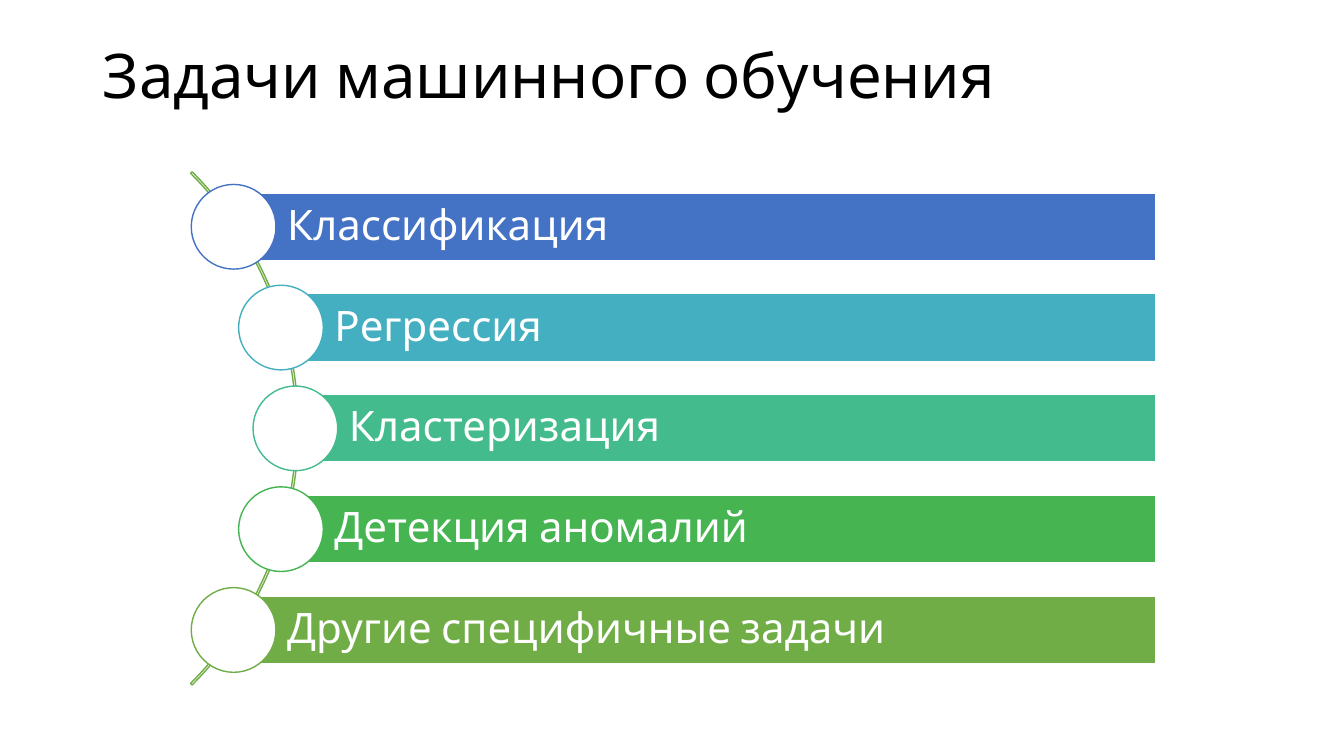
from dataclasses import dataclass
from math import sqrt

from pptx import Presentation
from pptx.dml.color import RGBColor
from pptx.enum.shapes import MSO_SHAPE
from pptx.enum.text import MSO_ANCHOR, MSO_AUTO_SIZE, PP_ALIGN
from pptx.util import Inches, Pt

ARC, BAR, CIRCLE = MSO_SHAPE.BLOCK_ARC, MSO_SHAPE.RECTANGLE, MSO_SHAPE.OVAL
TOP, MIDDLE, LEFT = MSO_ANCHOR.TOP, MSO_ANCHOR.MIDDLE, PP_ALIGN.LEFT
NO_FIT = MSO_AUTO_SIZE.NONE


@dataclass(frozen=True)
class Theme:
    font: str = "Cabin"
    title_size: int = 44
    task_size: int = 30
    line_width: int = 1
    black: str = "000000"
    white: str = "FFFFFF"
    arc: str = "70AD47"


THEME = Theme()
TASKS = [
    ("Классификация", "4472C4"),
    ("Регрессия", "43AFC0"),
    ("Кластеризация", "43BB8D"),
    ("Детекция аномалий", "45B451"),
    ("Другие специфичные задачи", "70AD47"),
]


def add_outlined(kind, left, top, width, height, fill, line):
    shape = slide.shapes.add_shape(
        kind, Inches(left), Inches(top), Inches(width), Inches(height))
    shape.shadow.inherit = False
    if fill:
        shape.fill.solid()
        shape.fill.fore_color.rgb = RGBColor.from_string(fill)
    else:
        shape.fill.background()
    shape.line.color.rgb = RGBColor.from_string(line)
    shape.line.width = Pt(THEME.line_width)
    return shape


def write_text(shape, text, size, color, frame_format):
    frame = shape.text_frame
    for name, value in frame_format.items():
        setattr(frame, name, value)
    paragraph = frame.paragraphs[0]
    paragraph.text = text
    paragraph.alignment = LEFT
    paragraph.line_spacing = 0.9
    font = paragraph.runs[0].font
    font.name = THEME.font
    font.size = Pt(size)
    font.color.rgb = RGBColor.from_string(color)


presentation = Presentation()
presentation.slide_width = Inches(13.33)
presentation.slide_height = Inches(7.5)
slide = presentation.slides.add_slide(presentation.slide_layouts[5])

# Title
title = slide.shapes.title
title.left, title.top = Inches(0.92), Inches(0.4)
title.width, title.height = Inches(11.5), Inches(1.45)
write_text(title, "Задачи машинного обучения", THEME.title_size, THEME.black,
           {"vertical_anchor": TOP, "word_wrap": True, "auto_size": NO_FIT})

# Arc behind the list
center_x, center_y, arc_size = -0.64, 4.25, 7.2
arc = add_outlined(ARC, center_x - arc_size / 2, center_y - arc_size / 2,
                   arc_size, arc_size, None, THEME.arc)
for index, value in enumerate((189, 27, 0.003)):
    arc.adjustments[index] = value

# Task bars, each starting at a circle centred on the arc
track_radius, row_step = 3.57, 1.0
bar_right, bar_height, circle_size = 11.46, 0.67, 0.84
bar_text_format = {
    "vertical_anchor": MIDDLE, "word_wrap": True, "auto_size": NO_FIT,
    "margin_left": Inches(0.53), "margin_right": Inches(0.08),
    "margin_top": Inches(0.08), "margin_bottom": Inches(0.08),
}
for row, (task, color) in enumerate(TASKS):
    offset = (row - len(TASKS) // 2) * row_step
    x = center_x + sqrt(track_radius ** 2 - offset ** 2)
    y = center_y + offset
    bar = add_outlined(BAR, x, y - bar_height / 2, bar_right - x, bar_height,
                       color, THEME.white)
    write_text(bar, task, THEME.task_size, THEME.white, bar_text_format)
    add_outlined(CIRCLE, x - circle_size / 2, y - circle_size / 2,
                 circle_size, circle_size, THEME.white, color)

presentation.save("out.pptx")
